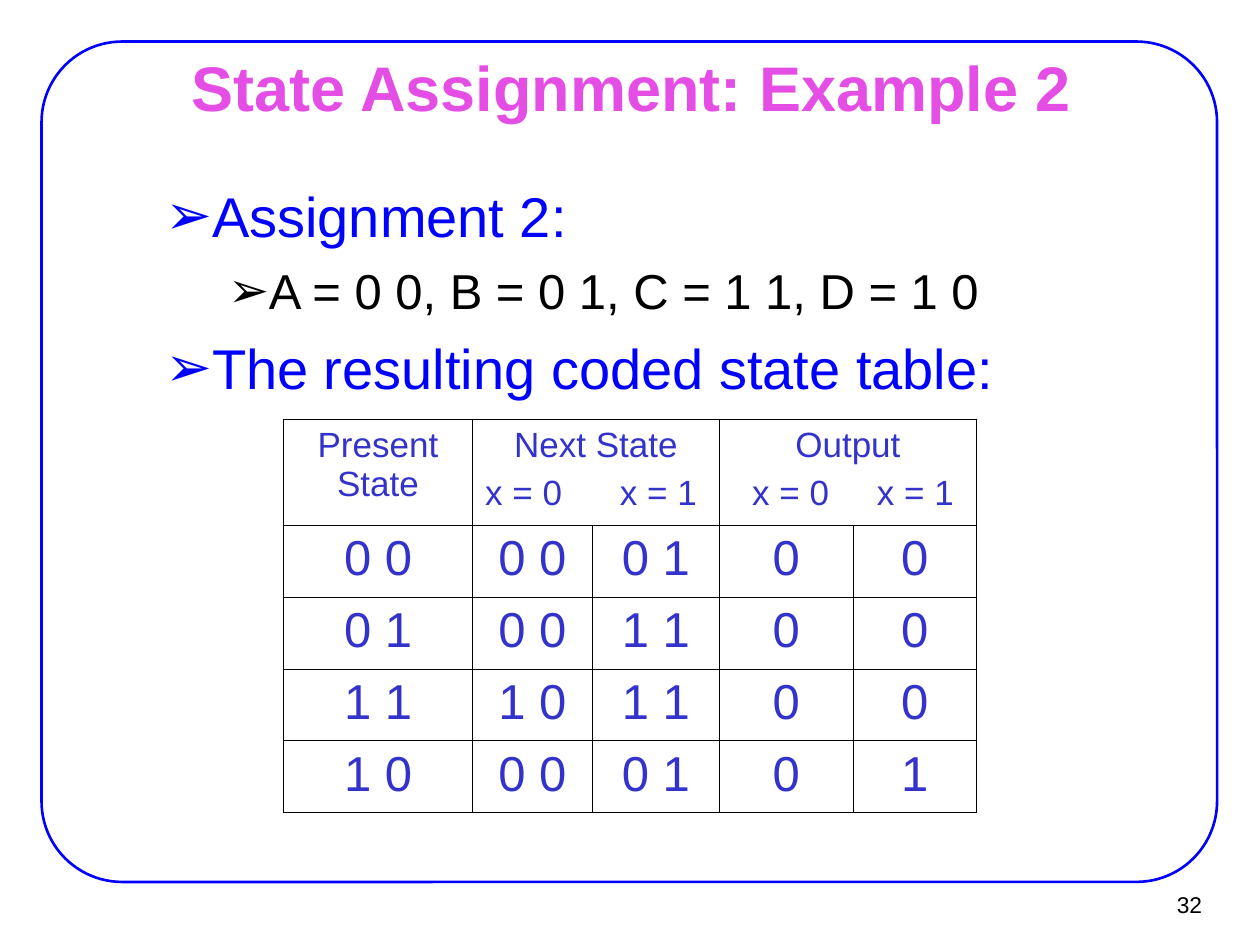
import pptx
import pptx.dml.color
import pptx.enum.shapes
import pptx.enum.text
import pptx.oxml
import pptx.oxml.ns
import pptx.util
from lxml import etree

Inches = pptx.util.Inches
Pt = pptx.util.Pt
RGBColor = pptx.dml.color.RGBColor
Align = pptx.enum.text.PP_ALIGN
Anchor = pptx.enum.text.MSO_ANCHOR
qn = pptx.oxml.ns.qn

BLUE = RGBColor(0x00, 0x00, 0xFF)
PINK = RGBColor(0xE4, 0x4E, 0xE4)
INDIGO = RGBColor(0x33, 0x33, 0xCC)
BLACK = RGBColor(0x00, 0x00, 0x00)

FONT = "Arial"
OUTER, INNER = 1.08, 0.45
COLUMN_WIDTHS = [1.5, 0.95, 1.01, 1.06, 0.98]
ROW_HEIGHTS = [0.84] + [0.57] * 4
CODED_STATES = [
    ["0 0", "0 0", "0 1", "0", "0"],
    ["0 1", "0 0", "1 1", "0", "0"],
    ["1 1", "1 0", "1 1", "0", "0"],
    ["1 0", "0 0", "0 1", "0", "1"],
]


def place(element, left, top, width, height):
    element.left, element.top = Inches(left), Inches(top)
    element.width, element.height = Inches(width), Inches(height)


def set_insets(frame, horizontal, vertical):
    frame.margin_left = frame.margin_right = Inches(horizontal)
    frame.margin_top = frame.margin_bottom = Inches(vertical)


def write(paragraph, text, size, color, align=Align.LEFT, before=0, bold=False):
    paragraph.alignment = align
    paragraph.space_before = Pt(before)
    run = paragraph.add_run()
    run.text = text
    run.font.name = FONT
    run.font.size = Pt(size)
    run.font.bold = bold
    run.font.color.rgb = color


def set_tabs(paragraph, stops):
    tabs = etree.SubElement(paragraph._p.get_or_add_pPr(), qn("a:tabLst"))
    for stop in stops:
        etree.SubElement(tabs, qn("a:tab"), pos=str(Inches(stop)), algn="l")


def set_bullet(paragraph, margin, hanging, color):
    properties = paragraph._p.get_or_add_pPr()
    properties.set("marL", str(Inches(margin)))
    properties.set("indent", str(-Inches(hanging)))
    bullet_color = etree.SubElement(properties, qn("a:buClr"))
    etree.SubElement(bullet_color, qn("a:srgbClr"), val=str(color))
    etree.SubElement(properties, qn("a:buChar"), char="➢")


def set_borders(cell, widths):
    properties = cell._tc.get_or_add_tcPr()
    for position, (side, width) in enumerate(widths.items()):
        line = etree.Element(qn(f"a:ln{side}"), w=str(Pt(width)))
        fill = etree.SubElement(line, qn("a:solidFill"))
        etree.SubElement(fill, qn("a:srgbClr"), val=str(BLACK))
        properties.insert(position, line)


def add_frame(slide):
    frame = slide.shapes.add_shape(
        pptx.enum.shapes.MSO_SHAPE.ROUNDED_RECTANGLE,
        Inches(0.33), Inches(0.33), Inches(9.33), Inches(6.67))
    frame.adjustments[0] = 0.096
    frame.shadow.inherit = False
    frame.fill.background()
    frame.line.color.rgb = BLUE
    frame.line.width = Pt(1.5)
    slide.shapes._spTree.insert(2, frame._element)


def add_title(slide):
    title = slide.shapes.title
    place(title, 0.76, 0.44, 8.5, 0.49)
    text = title.text_frame
    text.auto_size = pptx.enum.text.MSO_AUTO_SIZE.NONE
    text.vertical_anchor = Anchor.MIDDLE
    set_insets(text, 0.11, 0.06)
    write(text.paragraphs[0], "State Assignment: Example 2", 36, PINK,
          Align.CENTER, bold=True)


def add_points(slide):
    body = slide.placeholders[1]
    place(body, 0.7, 1.38, 8.8, 1.95)
    text = body.text_frame
    text.auto_size = pptx.enum.text.MSO_AUTO_SIZE.NONE
    set_insets(text, 0.11, 0.06)
    styles = {1: (32, BLUE, 8, 0.81, 0.31), 2: (28, BLACK, 7, 1.25, 0.25)}
    points = [
        (1, "Assignment 2:"),
        (2, "A = 0 0, B = 0 1, C = 1 1, D = 1 0"),
        (1, "The resulting coded state table:"),
    ]
    for index, (level, wording) in enumerate(points):
        point = text.add_paragraph() if index else text.paragraphs[0]
        size, color, before, margin, hanging = styles[level]
        point.level = level
        write(point, wording, size, color, before=before)
        set_bullet(point, margin, hanging, color)


def add_input_heading(cell, heading, inputs, stops):
    write(cell.text_frame.paragraphs[0], heading, 20, INDIGO, Align.CENTER, 5)
    input_line = cell.text_frame.add_paragraph()
    write(input_line, inputs, 20, INDIGO, before=5)
    set_tabs(input_line, stops)


def add_state_table(slide):
    rows, columns = len(ROW_HEIGHTS), len(COLUMN_WIDTHS)
    table = slide.shapes.add_table(
        rows, columns, Inches(2.25), Inches(3.33),
        Inches(sum(COLUMN_WIDTHS)), Inches(sum(ROW_HEIGHTS))).table
    table.first_row = table.horz_banding = False
    for column, width in zip(table.columns, COLUMN_WIDTHS):
        column.width = Inches(width)
    for row, height in zip(table.rows, ROW_HEIGHTS):
        row.height = Inches(height)
    for r in range(rows):
        for c in range(columns):
            cell = table.cell(r, c)
            set_insets(cell, 0.1, 0.05)
            cell.fill.background()
            set_borders(cell, {
                "L": OUTER if c == 0 else INNER,
                "R": OUTER if c == columns - 1 else INNER,
                "T": OUTER if r == 0 else INNER,
                "B": OUTER if r == rows - 1 else INNER,
            })
            if r:
                write(cell.text_frame.paragraphs[0], CODED_STATES[r - 1][c],
                      28, INDIGO, Align.CENTER, 7)
    for start in (1, 3):
        table.cell(0, start).merge(table.cell(0, start + 1))
    write(table.cell(0, 0).text_frame.paragraphs[0], "Present State",
          20, INDIGO, Align.CENTER, 5)
    add_input_heading(table.cell(0, 1), "Next State", "x = 0\tx = 1", [1.07])
    add_input_heading(table.cell(0, 3), "Output", "\tx = 0\tx = 1", [0.16, 1.15])


def add_page_number(slide):
    number = slide.shapes.add_textbox(
        Inches(9.02), Inches(6.99), Inches(0.61), Inches(0.37))
    text = number.text_frame
    text.word_wrap = False
    text.vertical_anchor = Anchor.MIDDLE
    set_insets(text, 0.09, 0.04)
    write(text.paragraphs[0], "32", 13, BLACK, Align.RIGHT)


def main():
    presentation = pptx.Presentation()
    presentation.slide_width = Inches(10)
    presentation.slide_height = Inches(7.5)
    slide = presentation.slides.add_slide(presentation.slide_layouts[1])
    add_frame(slide)
    add_page_number(slide)
    add_title(slide)
    add_points(slide)
    add_state_table(slide)
    presentation.save("out.pptx")


if __name__ == "__main__":
    main()
